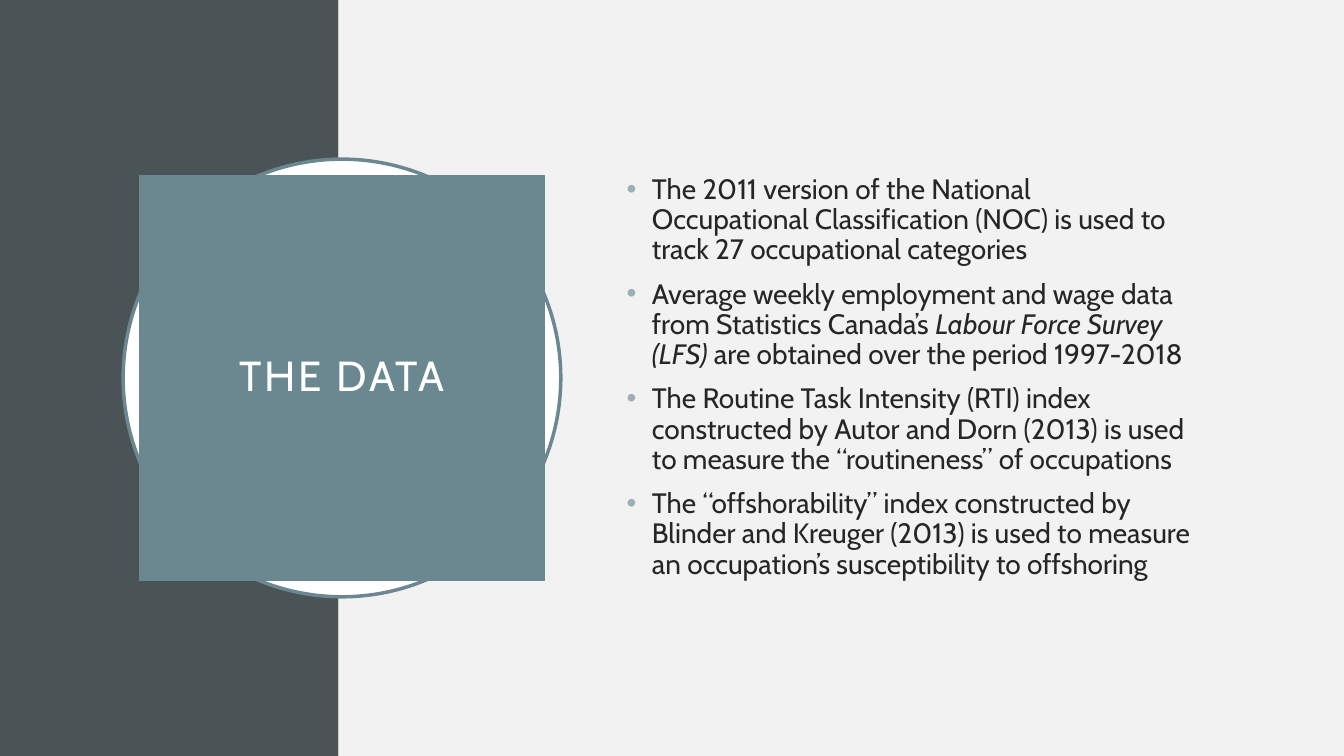
from lxml.etree import SubElement
from pptx import Presentation
from pptx.dml.color import RGBColor as RGB
from pptx.enum.shapes import MSO_SHAPE as Form
from pptx.enum.text import MSO_ANCHOR as Anchor, PP_ALIGN as Align
from pptx.oxml.ns import qn
from pptx.util import Pt

COLORS = {
    "dark": "4A5356",
    "light": "F2F2F2",
    "white": "FFFFFF",
    "teal": "6B8891",
    "bullet": "9BAFB5",
    "ink": "262626",
}
WIDTH, HEIGHT = 960, 540
SPLIT = 241.8

# Each point is a list of (text, italic) runs.
POINTS = [
    [("The 2011 version of the National Occupational Classification (NOC) "
      "is used to track 27 occupational categories", False)],
    [("Average weekly employment and wage data from Statistics Canada’s ", False),
     ("Labour Force Survey (LFS)", True),
     (" are obtained over the period 1997-2018", False)],
    [("The Routine Task Intensity (RTI) index constructed by Autor and Dorn "
      "(2013) is used to measure the “routineness” of occupations", False)],
    [("The “offshorability” index constructed by Blinder and Kreuger (2013) "
      "is used to measure an occupation’s susceptibility to offshoring", False)],
]


class Page:
    font = "Cabin"
    spacing = 0.9

    def __init__(self, deck):
        self.slide = deck.slides.add_slide(deck.slide_layouts[6])
        self.paint(self.slide.background.fill, "light")

    def paint(self, fill, color):
        fill.solid()
        fill.fore_color.rgb = RGB.from_string(COLORS[color])

    def shape(self, form, box, color, line=None):
        item = self.slide.shapes.add_shape(form, *map(Pt, box))
        item.shadow.inherit = False
        self.paint(item.fill, color)
        if line:
            self.paint(item.line.fill, line)
            item.line.width = Pt(2.5)
        else:
            item.line.fill.background()
        return item

    def style(self, para, size, color):
        para.line_spacing = self.spacing
        para.font.name = self.font
        para.font.size = Pt(size)
        para.font.color.rgb = RGB.from_string(COLORS[color])

    def title(self, text, box):
        frame = self.shape(Form.RECTANGLE, box, "teal").text_frame
        frame.word_wrap = True
        frame.vertical_anchor = Anchor.MIDDLE
        frame.margin_left = frame.margin_right = Pt(14.4)
        frame.margin_top = frame.margin_bottom = Pt(14.4)
        para = frame.paragraphs[0]
        para.alignment = Align.CENTER
        self.style(para, 30, "white")
        run = para.add_run()
        run.text = text
        run.font._element.set("spc", "200")

    def bullet(self, para):
        props = para._p.get_or_add_pPr()
        props.set("marL", str(Pt(18)))
        props.set("indent", str(-Pt(18)))
        # The schema wants bullet marks ahead of the default run style.
        base = props.find(qn("a:defRPr"))
        color = SubElement(props, qn("a:buClr"))
        SubElement(color, qn("a:srgbClr"), val=COLORS["bullet"])
        face = SubElement(props, qn("a:buFont"), typeface="Arial")
        mark = SubElement(props, qn("a:buChar"), char="•")
        for part in (color, face, mark):
            base.addprevious(part)

    def points(self, points, box):
        frame = self.slide.shapes.add_textbox(*map(Pt, box)).text_frame
        frame.word_wrap = True
        frame.vertical_anchor = Anchor.MIDDLE
        for i, runs in enumerate(points):
            para = frame.add_paragraph() if i else frame.paragraphs[0]
            self.style(para, 20, "ink")
            para.space_before = Pt(10)
            self.bullet(para)
            for text, slant in runs:
                run = para.add_run()
                run.text = text
                if slant:
                    run.font.italic = True


def main():
    deck = Presentation()
    deck.slide_width, deck.slide_height = Pt(WIDTH), Pt(HEIGHT)
    page = Page(deck)
    page.shape(Form.RECTANGLE, (0, 0, SPLIT, HEIGHT), "dark")
    page.shape(Form.RECTANGLE, (SPLIT, 0, WIDTH - SPLIT, HEIGHT), "light")
    page.shape(Form.OVAL, (88, 113.7, 312.6, 312.6), "white", "teal")
    page.title("THE DATA", (99.3, 125, 290, 290))
    page.points(POINTS, (440.6, 110.2, 419, 319))
    deck.save("out.pptx")


if __name__ == "__main__":
    main()
